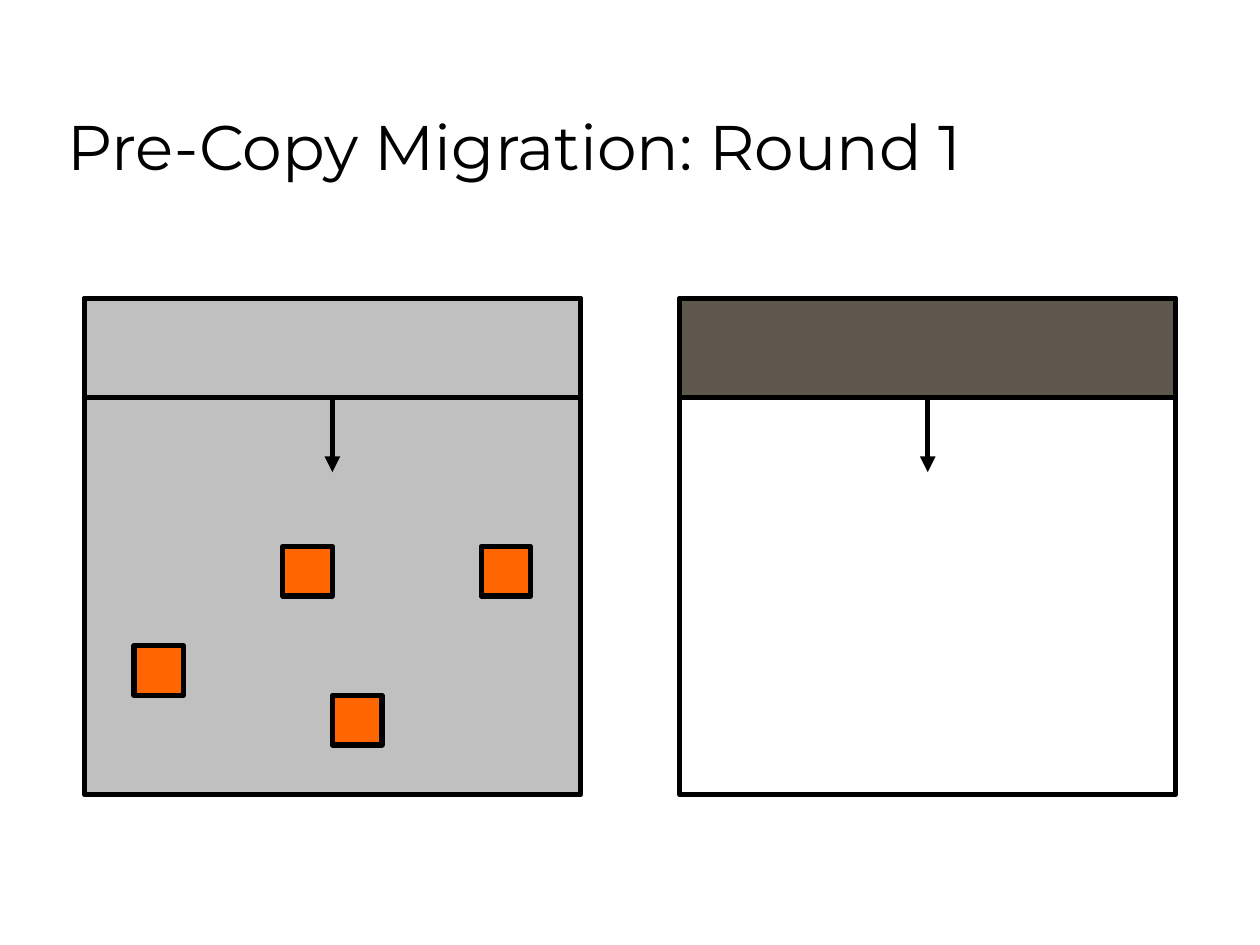
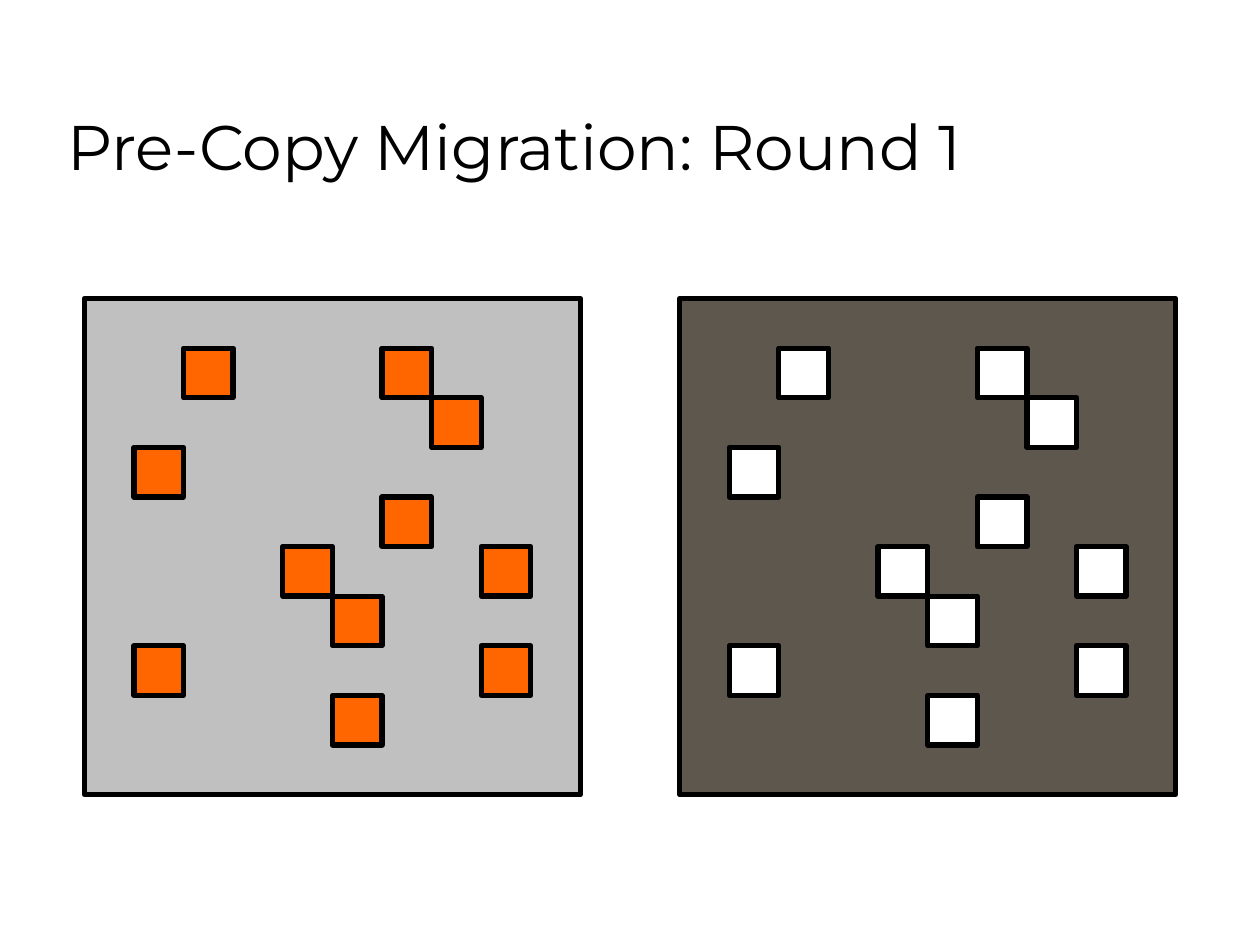
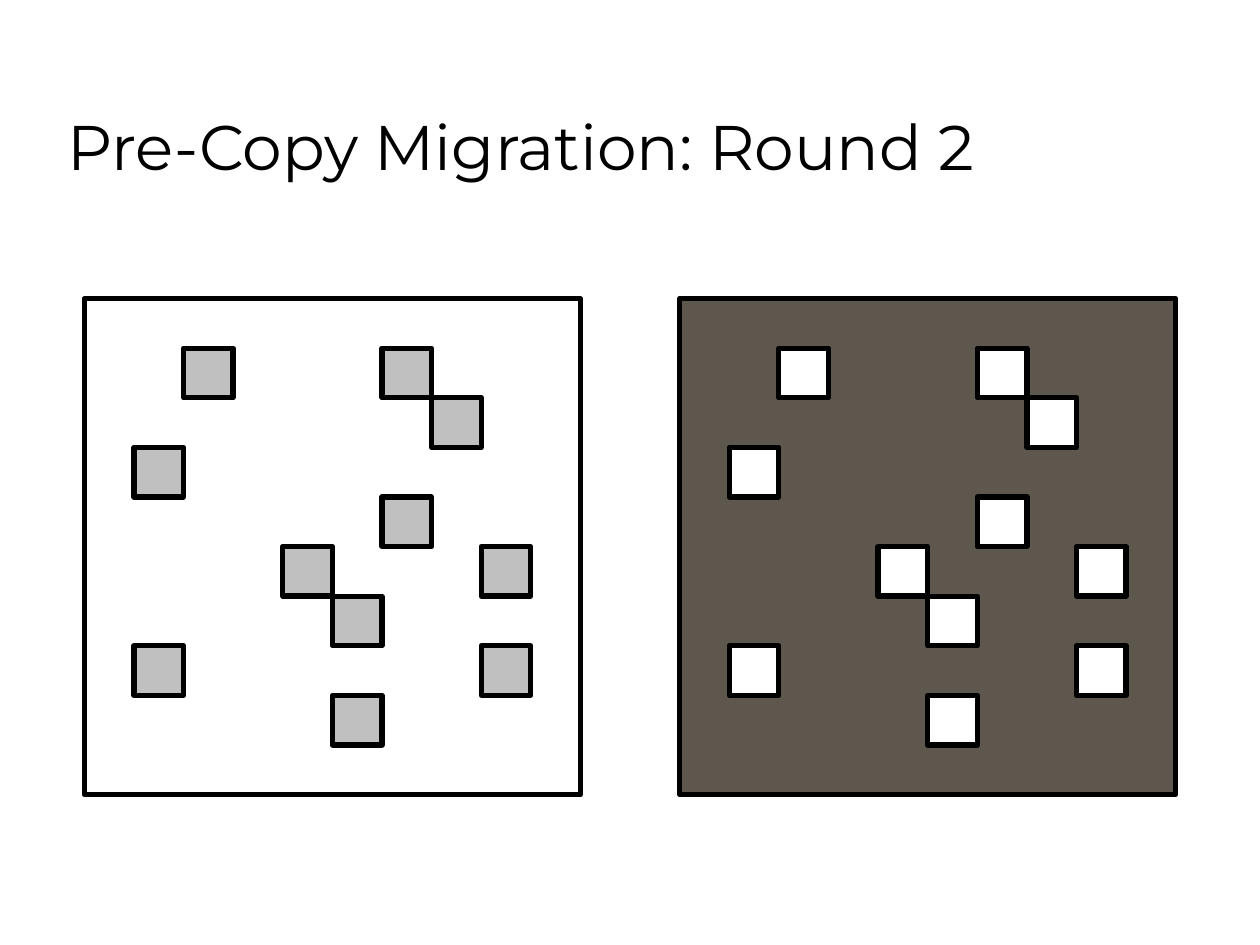
from lxml import etree
from pptx import Presentation
from pptx.dml.color import RGBColor
from pptx.enum.shapes import MSO_CONNECTOR, MSO_SHAPE
from pptx.enum.text import MSO_ANCHOR, MSO_AUTO_SIZE, PP_ALIGN
from pptx.oxml.ns import qn
from pptx.util import Pt

BLACK, WHITE = "000000", "FFFFFF"
SOURCE_GRAY, TARGET_BROWN, DIRTY_ORANGE = "C0C0C0", "5E574E", "FF6600"
FONT = "Montserrat"
LINE_WIDTH = 3

# Memory pages as (column, row) on the 10 by 10 grid of a host
EARLY_DIRTY_PAGES = [(1, 7), (4, 5), (8, 5), (5, 8)]
DIRTY_PAGES = [(6, 1), (1, 3), (2, 1), (1, 7), (4, 5), (6, 4),
               (8, 5), (8, 7), (7, 2), (5, 8), (5, 6)]

# Each slide: title, then the source host and the target host
SLIDES = [
    ("Pre-Copy Migration: Round 1", [
        {"memory": SOURCE_GRAY, "scan": SOURCE_GRAY,
         "pages": EARLY_DIRTY_PAGES, "page": DIRTY_ORANGE},
        {"memory": WHITE, "scan": TARGET_BROWN},
    ]),
    ("Pre-Copy Migration: Round 1", [
        {"memory": SOURCE_GRAY, "pages": DIRTY_PAGES, "page": DIRTY_ORANGE},
        {"memory": TARGET_BROWN, "pages": DIRTY_PAGES, "page": WHITE},
    ]),
    ("Pre-Copy Migration: Round 2", [
        {"memory": WHITE, "pages": DIRTY_PAGES, "page": SOURCE_GRAY},
        {"memory": TARGET_BROWN, "pages": DIRTY_PAGES, "page": WHITE},
    ]),
]

PAGE = 28.35
HOST_PAGES = 10
HOST_LEFT, HOST_TOP = 48.2, 170.6
HOST_PITCH = 12 * PAGE
SCAN_ROWS = 2
ARROW_ROWS = 1.5


def color(hex_value):
    return RGBColor.from_string(hex_value)


def add_title(slide, text):
    title = slide.shapes.title
    title.left, title.top, title.width, title.height = map(Pt, (31.5, 18, 612, 90))
    frame = title.text_frame
    frame.text = text
    frame.auto_size = MSO_AUTO_SIZE.NONE
    frame.vertical_anchor = MSO_ANCHOR.BOTTOM
    paragraph = frame.paragraphs[0]
    paragraph.alignment = PP_ALIGN.LEFT
    paragraph.font.name = FONT
    paragraph.font.size = Pt(36)
    paragraph.font.color.rgb = color(BLACK)


def add_block(slide, host_left, column, row, columns, rows, fill):
    """Draw an outlined rectangle placed and sized in pages of the host's grid."""
    shape = slide.shapes.add_shape(
        MSO_SHAPE.RECTANGLE,
        Pt(host_left + column * PAGE), Pt(HOST_TOP + row * PAGE),
        Pt(columns * PAGE), Pt(rows * PAGE))
    shape.shadow.inherit = False
    shape.fill.solid()
    shape.fill.fore_color.rgb = color(fill)
    shape.line.color.rgb = color(BLACK)
    shape.line.width = Pt(LINE_WIDTH)
    return shape


def add_scan(slide, host_left, fill):
    """Draw the part already scanned, with an arrow for the scan direction."""
    band = add_block(slide, host_left, 0, 0, HOST_PAGES, SCAN_ROWS, fill)
    center = Pt(host_left + HOST_PAGES * PAGE / 2)
    arrow = slide.shapes.add_connector(
        MSO_CONNECTOR.STRAIGHT,
        center, Pt(HOST_TOP + SCAN_ROWS * PAGE),
        center, Pt(HOST_TOP + (SCAN_ROWS + ARROW_ROWS) * PAGE))
    arrow.begin_connect(band, 2)
    arrow.line.color.rgb = color(BLACK)
    arrow.line.width = Pt(LINE_WIDTH)
    etree.SubElement(arrow.line._get_or_add_ln(), qn("a:tailEnd"), type="triangle")
    etree.SubElement(arrow._element.spPr, qn("a:effectLst"))


def add_host(slide, host_left, host):
    add_block(slide, host_left, 0, 0, HOST_PAGES, HOST_PAGES, host["memory"])
    if "scan" in host:
        add_scan(slide, host_left, host["scan"])
    for column, row in host.get("pages", []):
        add_block(slide, host_left, column, row, 1, 1, host["page"])


def main():
    presentation = Presentation()
    presentation.slide_width, presentation.slide_height = Pt(720), Pt(540)
    title_only = presentation.slide_layouts[5]
    for title, hosts in SLIDES:
        slide = presentation.slides.add_slide(title_only)
        add_title(slide, title)
        for index, host in enumerate(hosts):
            add_host(slide, HOST_LEFT + index * HOST_PITCH, host)
    presentation.save("out.pptx")


if __name__ == "__main__":
    main()
